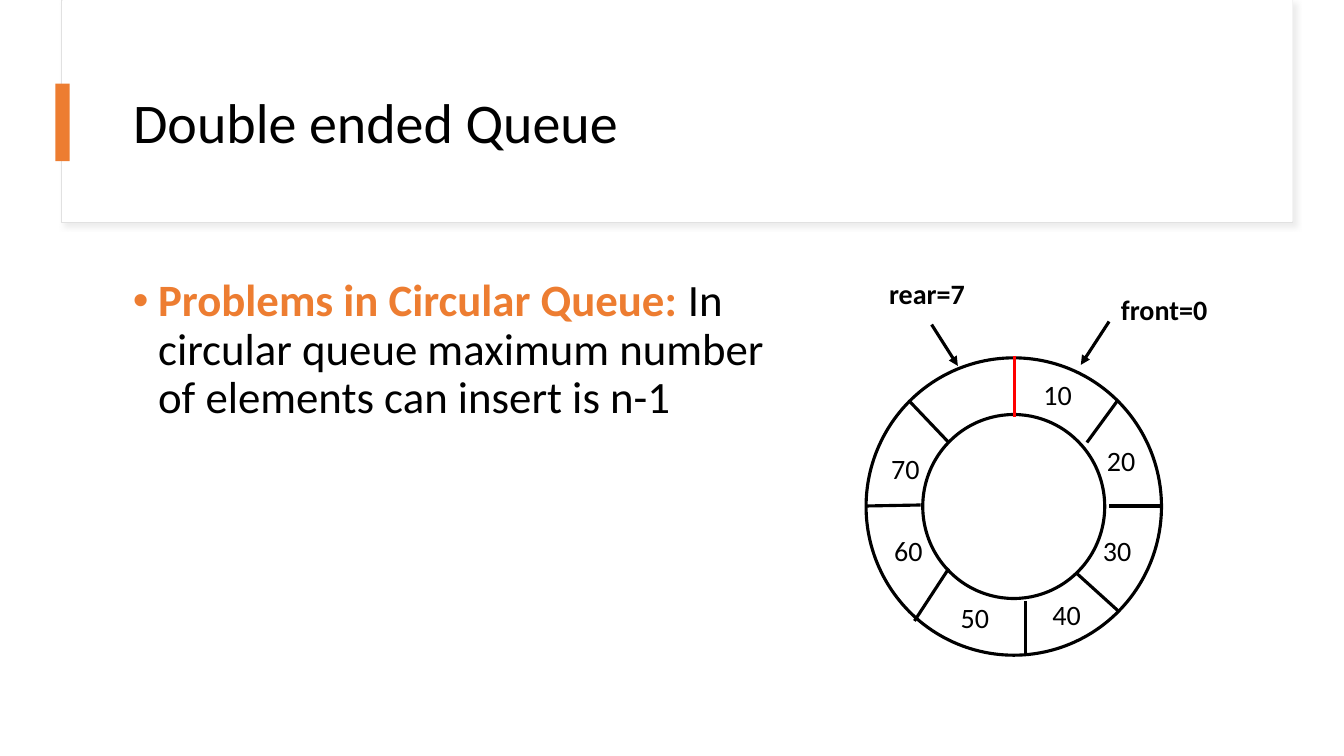
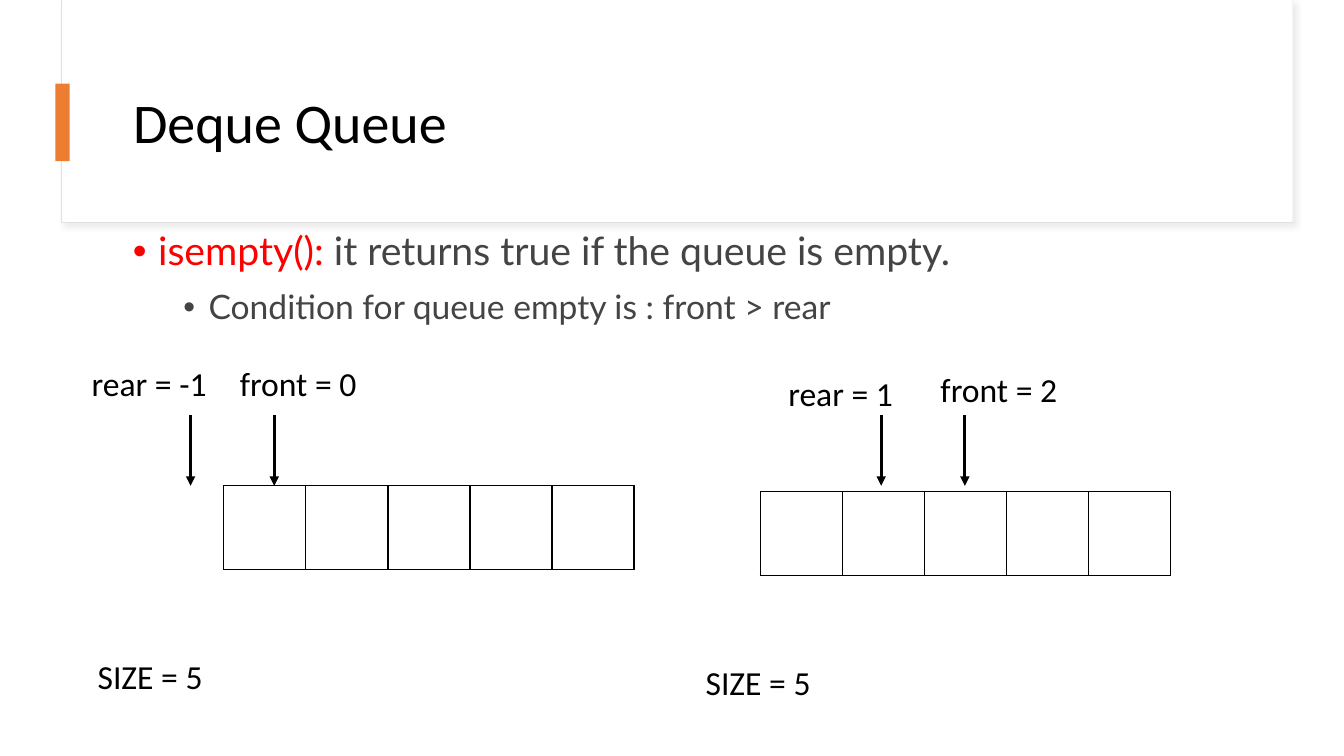
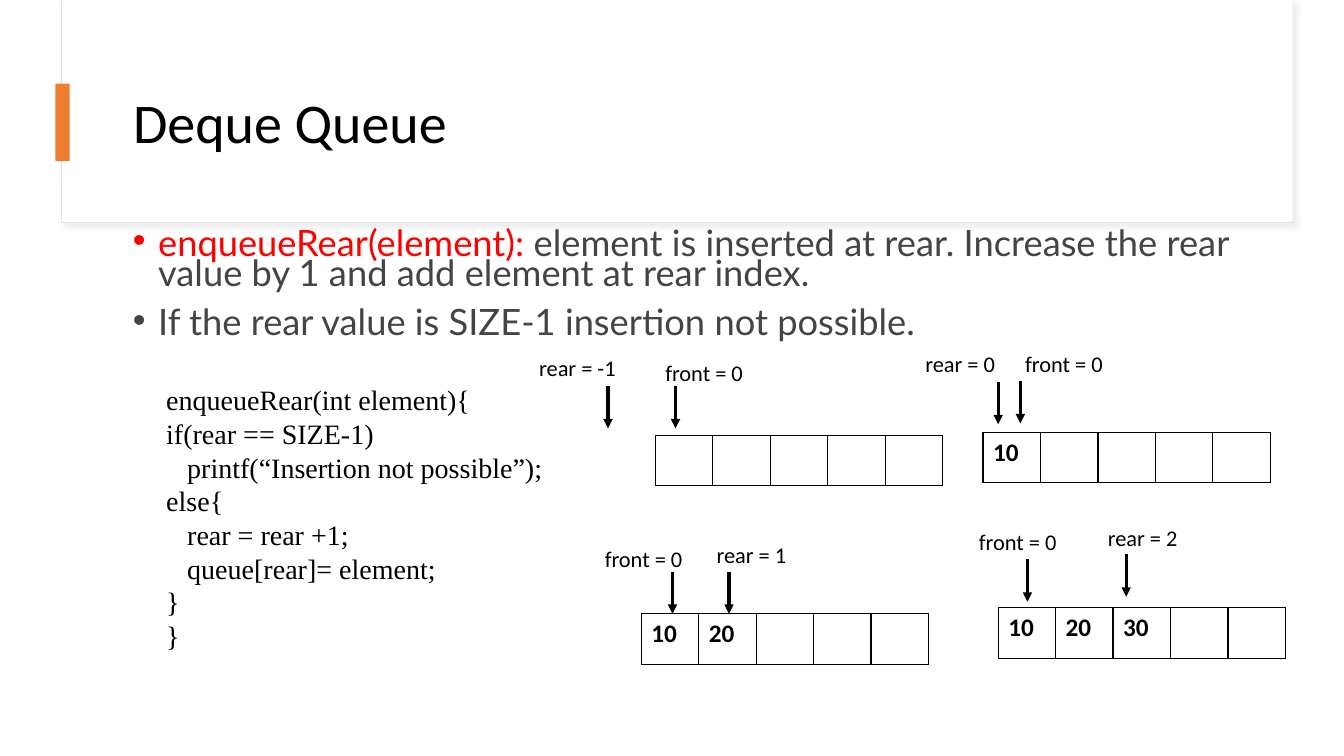
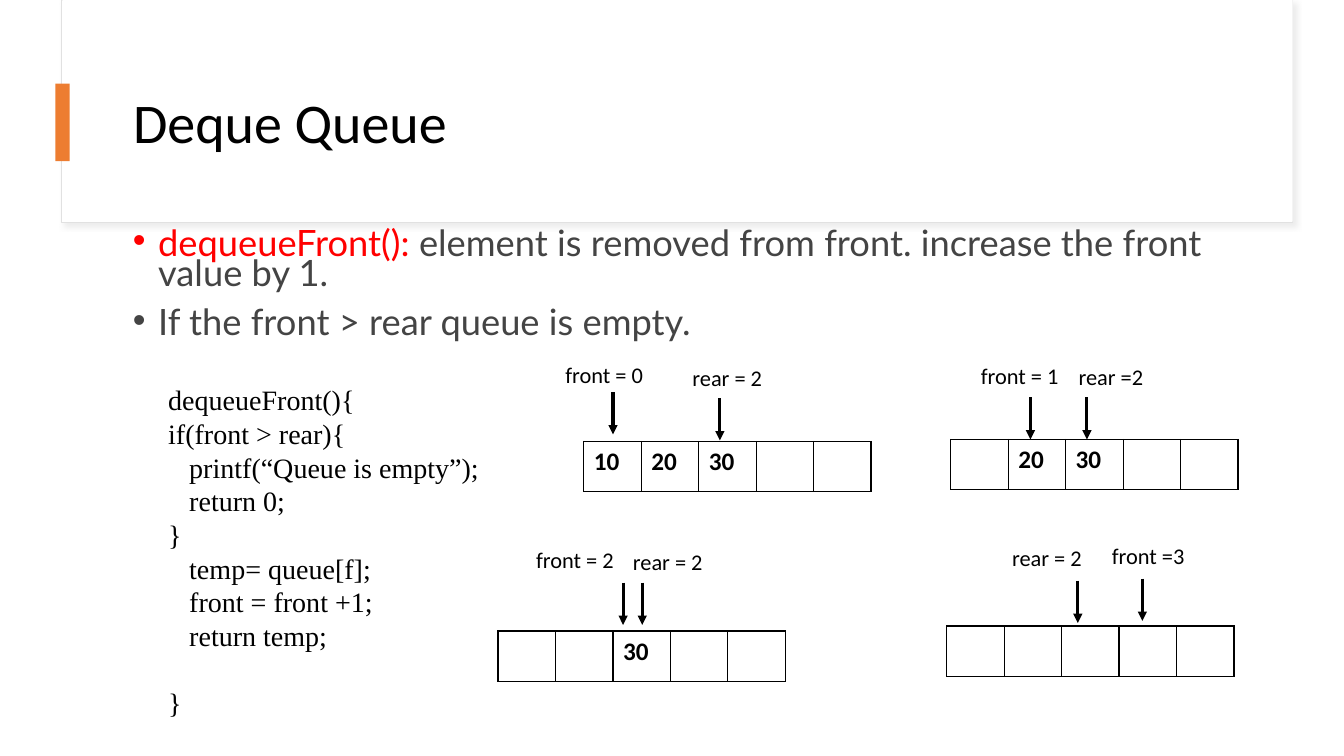
from dataclasses import dataclass

from lxml.etree import SubElement as Sub
from pptx import Presentation
from pptx.dml.color import RGBColor as Rgb
from pptx.enum.shapes import MSO_CONNECTOR as Link, MSO_SHAPE as Shape
from pptx.enum.text import MSO_ANCHOR as Anchor, MSO_AUTO_SIZE as Fit, PP_ALIGN as Align
from pptx.oxml.ns import qn
from pptx.util import Inches, Pt


@dataclass(frozen=True)
class Theme:
    black: str = "000000"
    white: str = "FFFFFF"
    red: str = "FF0000"
    orange: str = "ED7D31"
    grey: str = "444444"
    edge: str = "E1E1E1"
    shade: str = "D9D9D9"
    font: str = "Calibri"
    body: str = "Lato"
    code: str = "Times New Roman"
    title: float = 40
    lead: float = 32
    point: float = 28
    tight: float = 25.9
    large: float = 24
    mid: float = 20
    cell: float = 18
    small: float = 16
    line: float = 2.25


T = Theme()


def style(run, size, color=T.black, font=T.font, bold=False):
    run.font.size = Pt(size)
    run.font.name = font
    run.font.bold = bold
    run.font.color.rgb = Rgb.from_string(color)


def frame(page, x, y, w, h):
    text = page.shapes.add_textbox(Inches(x), Inches(y), Inches(w), Inches(h)).text_frame
    text.word_wrap = True
    return text


def label(page, text, x, y, size, w, bold=False):
    para = frame(page, x, y, w, 0.1 + size * 0.017).paragraphs[0]
    para.text = text
    style(para.runs[0], size, bold=bold)


def block(page, kind, x, y, w, h, fill, edge=None, width=0.75):
    shape = page.shapes.add_shape(kind, Inches(x), Inches(y), Inches(w), Inches(h))
    shape.shadow.inherit = False
    shape.fill.solid()
    shape.fill.fore_color.rgb = Rgb.from_string(fill)
    if edge:
        shape.line.color.rgb = Rgb.from_string(edge)
        shape.line.width = Pt(width)
    else:
        shape.line.fill.background()
    return shape


def shade(shape):
    glow = Sub(shape.element.spPr.find(qn("a:effectLst")), qn("a:outerShdw"),
               blurRad=str(Pt(4)), dist=str(Pt(3)), dir="2700000", algn="tl", rotWithShape="0")
    tint = Sub(glow, qn("a:srgbClr"), val=T.shade)
    Sub(tint, qn("a:alpha"), val="50000")


def line(page, start, end, color=T.black, head=False):
    link = page.shapes.add_connector(Link.STRAIGHT, *map(Inches, (*start, *end)))
    link.line.color.rgb = Rgb.from_string(color)
    link.line.width = Pt(T.line)
    if head:
        Sub(link.line._get_or_add_ln(), qn("a:tailEnd"), type="triangle")
    Sub(link.element.spPr, qn("a:effectLst"))


def start(deck, text):
    page = deck.slides.add_slide(deck.slide_layouts[5])
    shade(block(page, Shape.RECTANGLE, 0.61, 0, 12.21, 2.21, T.white, T.edge))
    block(page, Shape.RECTANGLE, 0.62, 0, 12.2, 2.2, T.white)
    title = page.shapes.title
    title.left, title.top, title.width, title.height = map(Inches, (1.22, 0.6, 11.12, 1.29))
    title.element.getparent().append(title.element)
    title.text_frame.text = text
    title.text_frame.vertical_anchor = Anchor.MIDDLE
    title.text_frame.auto_size = Fit.NONE
    para = title.text_frame.paragraphs[0]
    para.alignment = Align.LEFT
    para.line_spacing = 0.9
    style(para.runs[0], T.title)
    block(page, Shape.RECTANGLE, 0.55, 0.83, 0.14, 0.77, T.orange)
    return page


def points(page, items, y=2.25, w=11.12, h=1.24, pitch=0.9, font=T.body):
    text = frame(page, 1.22, y, w, h)
    for i, (level, size, parts) in enumerate(items):
        para = text.add_paragraph() if i else text.paragraphs[0]
        para.level = level
        para.line_spacing = pitch
        if i:
            para.space_before = Pt(size / 2)
        prop = para._p.get_or_add_pPr()
        prop.set("marL", str(Inches(0.25 + level * 0.5)))
        prop.set("indent", str(Inches(-0.25)))
        Sub(prop, qn("a:buFont"), typeface="Arial")
        Sub(prop, qn("a:buChar"), char="•")
        for words, color, bold in parts:
            run = para.add_run()
            run.text = words
            style(run, size, color, font, bold)


def code(page, x, h, rows):
    text = frame(page, x, 3.75, 4.55, h)
    for i, (depth, gap, words) in enumerate(rows):
        para = text.add_paragraph() if i else text.paragraphs[0]
        para.text = words
        para.line_spacing = Pt(24)
        para.space_before = Pt(gap)
        para._p.get_or_add_pPr().set("marL", str(Pt(depth * 15)))
        style(para.runs[0], T.mid, font=T.code)


def border(cell):
    prop = cell._tc.get_or_add_tcPr()
    for side in ("a:lnL", "a:lnR", "a:lnT", "a:lnB"):
        edge = Sub(prop, qn(side), w=str(Pt(1)))
        Sub(Sub(edge, qn("a:solidFill")), qn("a:srgbClr"), val=T.black)


def queue(page, x, y, values=(), marks=(), side=0.57, high=0.5, size=T.small, w=1.1, drop=0.42):
    grid = page.shapes.add_table(1, 5, Inches(x), Inches(y), Inches(side * 5), Inches(high)).table
    grid.first_row = grid.horz_banding = False
    grid.rows[0].height = Inches(high)
    for i, col in enumerate(grid.columns):
        col.width = Inches(side)
        cell = grid.cell(0, i)
        border(cell)
        cell.fill.solid()
        cell.fill.fore_color.rgb = Rgb.from_string(T.white)
        if i < len(values) and values[i]:
            cell.text_frame.text = values[i]
            style(cell.text_frame.paragraphs[0].runs[0], T.cell, bold=True)
    for text, left, top, tip, tail in marks:
        label(page, text, left, top, size, w)
        line(page, (tip, tail), (tip, tail + drop), head=True)


def ring(deck):
    page = start(deck, "Double ended Queue")
    points(page, [(0, T.lead, [
        ("Problems in Circular Queue:", T.orange, True),
        (" In circular queue maximum number of elements can insert is n-1", T.black, False),
    ])], 2.71, 6.77, 4.19, font=T.font)
    donut = block(page, Shape.DONUT, 8.59, 3.55, 2.93, 2.95, T.white, T.black, T.line)
    donut.adjustments[0] = 0.192
    line(page, (10.06, 3.53), (10.06, 4.14), T.red)
    for a, b in (
        ((11.08, 3.98), (10.78, 4.39)), ((11.52, 5.02), (11, 5.02)),
        ((11.09, 6.06), (10.67, 5.68)), ((10.17, 6.51), (10.17, 5.96)),
        ((9.07, 6.16), (9.41, 5.64)), ((8.59, 5.02), (9.13, 5.01)),
        ((9.02, 3.98), (9.41, 4.39)),
    ):
        line(page, a, b)
    spots = ((10.25, 3.7), (10.88, 4.35), (10.84, 5.24), (10.34, 5.88),
             (9.43, 5.91), (8.77, 5.24), (8.74, 4.43))
    for i, (x, y) in enumerate(spots, 1):
        label(page, str(i * 10), x, y, T.mid, 0.5)
    for text, x, y, a, b in (
        ("rear=7", 8.72, 2.69, (9.24, 3.22), (9.5, 3.63)),
        ("front=0", 11.02, 2.85, (11, 3.19), (10.72, 3.62)),
    ):
        label(page, text, x, y, T.mid, 1.1, True)
        line(page, a, b, head=True)


def empty(deck):
    page = start(deck, "Deque Queue")
    points(page, [
        (0, T.point, [("isempty(): ", T.red, False),
                      ("it returns true if the queue is empty.", T.grey, False)]),
        (1, T.large, [("Condition for queue empty is : front > rear", T.grey, False)]),
    ], h=4.65)
    big = dict(side=0.814, high=0.83, size=T.large, w=1.4, drop=0.7)
    queue(page, 2.22, 4.82, marks=[("rear = -1", 0.81, 3.55, 1.89, 4.12),
                                   ("front = 0", 2.28, 3.55, 2.72, 4.12)], **big)
    queue(page, 7.54, 4.88, marks=[("rear = 1", 7.72, 3.65, 8.74, 4.12),
                                   ("front = 2", 9.23, 3.61, 9.57, 4.12)], **big)
    for x, y in ((0.87, 6.46), (6.9, 6.52)):
        label(page, "SIZE = 5", x, y, T.large, 1.3)


def method(deck, name, lead, note, x, h, rows, queues):
    page = start(deck, "Deque Queue")
    points(page, [
        (0, T.tight, [(name, T.red, False), (lead, T.grey, False)]),
        (0, T.tight, [(note, T.grey, False)]),
    ], pitch=0.7)
    code(page, x, h, rows)
    for item in queues:
        queue(page, *item)


def main():
    deck = Presentation()
    deck.slide_width, deck.slide_height = Inches(13.33), Inches(7.5)
    ring(deck)
    empty(deck)
    method(
        deck, "enqueueRear(element): ",
        "element is inserted at rear. Increase the rear value by 1 and add element at rear index.",
        "If the rear value is SIZE-1 insertion not possible.", 1.55, 2.79,
        [(0, 0, "enqueueRear(int element){"), (0, 0, "if(rear == SIZE-1)"),
         (1, 0, "printf(“Insertion not possible”);"), (0, 0, "else{"),
         (1, 0, "rear = rear +1;"), (1, 0, "queue[rear]= element;"),
         (0, 0, "}"), (0, 0, "}")],
        [(6.5, 4.32, [], [("rear = -1", 5.25, 3.46, 6.03, 3.83),
                          ("front = 0", 6.5, 3.51, 6.7, 3.83)]),
         (9.75, 4.29, ["10"], [("rear = 0", 9.08, 3.42, 9.9, 3.79),
                               ("front = 0", 10.07, 3.42, 10.12, 3.78)]),
         (6.36, 6.09, ["10", "20"], [("rear = 1", 7.01, 5.32, 7.23, 5.67),
                                     ("front = 0", 5.9, 5.36, 6.67, 5.67)]),
         (9.9, 6.03, ["10", "20", "30"], [("rear = 2", 10.89, 5.15, 11.17, 5.5),
                                          ("front = 0", 9.61, 5.19, 10.19, 5.55)])])
    method(
        deck, "dequeueFront(): ",
        "element is removed from front. increase the front value by 1.",
        "If the front > rear queue is empty.", 1.57, 3.47,
        [(0, 0, "dequeueFront(){"), (0, 0, "if(front > rear){"),
         (1, 0, "printf(“Queue is empty”);"), (1, 0, "return 0;"), (0, 0, "}"),
         (1, 0, "temp= queue[f];"), (1, 0, "front = front +1;"),
         (1, 0, "return temp;"), (0, 24, "}")],
        [(5.79, 4.38, ["10", "20", "30"], [("rear = 2", 6.77, 3.56, 7.14, 3.95),
                                           ("front = 0", 5.51, 3.53, 6.08, 3.89)]),
         (9.43, 4.36, ["", "20", "30"], [("rear =2", 10.6, 3.55, 10.78, 3.94),
                                         ("front = 1", 9.63, 3.54, 10.22, 3.94)]),
         (4.94, 6.26, ["", "", "30"], [("rear = 2", 6.18, 5.39, 6.37, 5.78),
                                       ("front = 2", 5.22, 5.37, 6.18, 5.78)]),
         (9.39, 6.21, [], [("rear = 2", 9.94, 5.35, 10.69, 5.76),
                           ("front =3", 10.93, 5.33, 11.33, 5.74)])])
    deck.save("out.pptx")


if __name__ == "__main__":
    main()
